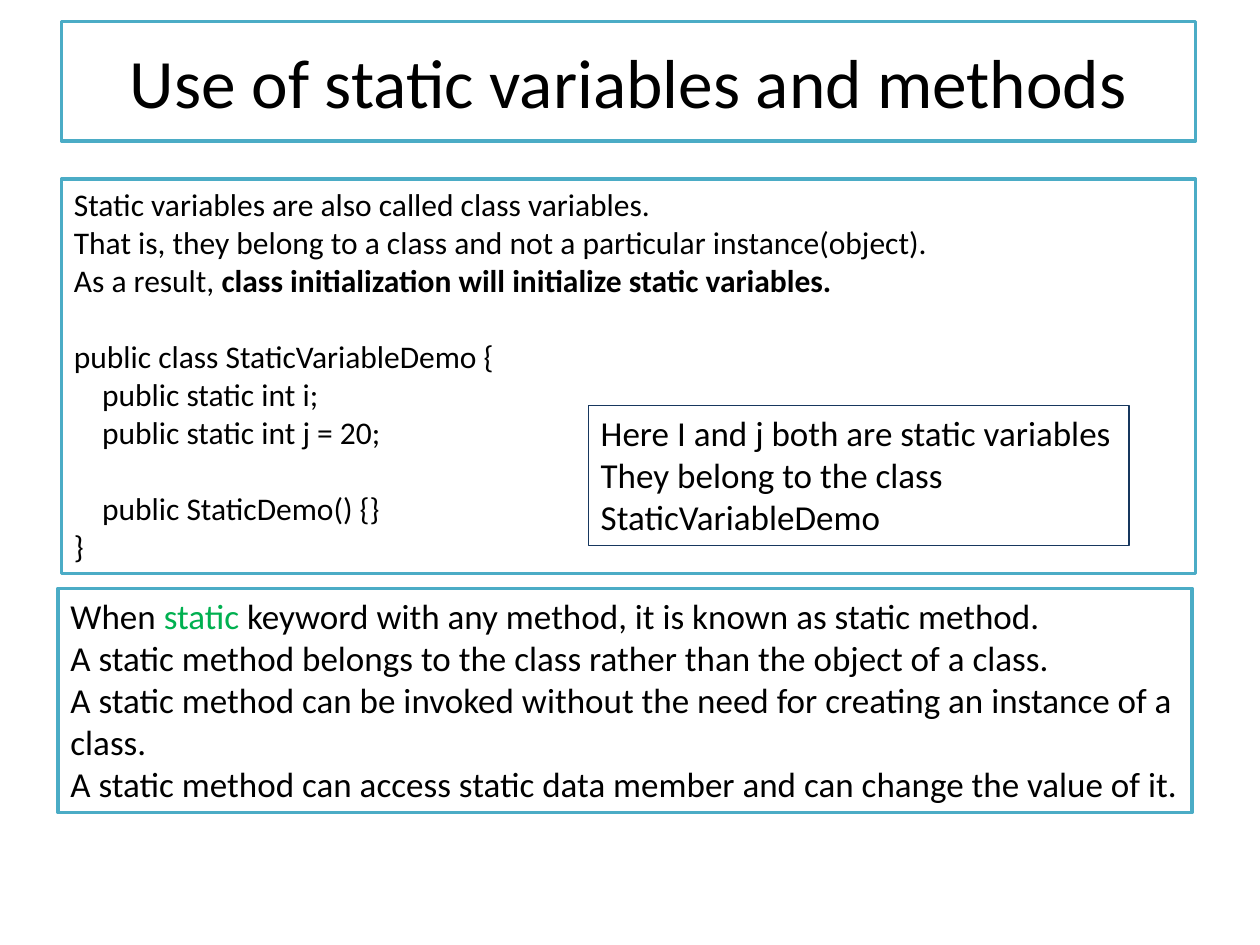
from pptx import Presentation
from pptx.dml.color import RGBColor
from pptx.enum.shapes import MSO_SHAPE
from pptx.enum.text import MSO_ANCHOR, MSO_AUTO_SIZE, PP_ALIGN
from pptx.util import Cm, Pt

BLACK = RGBColor(0x00, 0x00, 0x00)
WHITE = RGBColor(0xFF, 0xFF, 0xFF)
TEAL = RGBColor(0x4B, 0xAC, 0xC6)
NAVY = RGBColor(0x17, 0x37, 0x5E)
GREEN = RGBColor(0x00, 0xB0, 0x50)

FONT = "Calibri"
PANEL_LEFT = 1.24
PANEL_WIDTH = 22.86
CODE_INDENT = Cm(0.57)
CODE_GAP = Pt(22)

VARIABLE_LINES = [
    "Static variables are also called class variables.",
    "That is, they belong to a class and not a particular instance(object).",
    "As a result,\u00a0",
    "public class StaticVariableDemo {",
    "public static int i;",
    "public static int j = 20;",
    "public StaticDemo() {}",
    "}",
]
NOTE_LINES = [
    "Here I and j both are static variables",
    "They belong to the class",
    "StaticVariableDemo",
]
METHOD_LINES = [
    "When ",
    "A static method belongs to the class rather than the object of a class.",
    "A static method can be invoked without the need for creating an instance of a class.",
    "A static method can access static data member and can change the value of it.",
]


def place(shape, left, top, width, height):
    shape.left, shape.top = Cm(left), Cm(top)
    shape.width, shape.height = Cm(width), Cm(height)


def outline(shape, color, weight):
    shape.line.color.rgb = color
    shape.line.width = Pt(weight)


def format_run(run, size, color=BLACK, bold=False):
    run.font.name = FONT
    run.font.size = Pt(size)
    run.font.color.rgb = color
    run.font.bold = bold


def add_run(paragraph, text, size, color=BLACK, bold=False):
    run = paragraph.add_run()
    run.text = text
    format_run(run, size, color, bold)


def write_lines(frame, lines, size, alignment=PP_ALIGN.LEFT):
    frame.text = "\n".join(lines)
    for paragraph in frame.paragraphs:
        paragraph.alignment = alignment
        for run in paragraph.runs:
            format_run(run, size)
    return frame.paragraphs


def add_title(slide, text):
    title = slide.shapes.title
    place(title, PANEL_LEFT, 0.43, PANEL_WIDTH, 2.41)
    title.fill.solid()
    title.fill.fore_color.rgb = WHITE
    outline(title, TEAL, 2)
    title.text_frame.vertical_anchor = MSO_ANCHOR.MIDDLE
    title.text_frame.auto_size = MSO_AUTO_SIZE.NONE
    write_lines(title.text_frame, [text], 39.6, PP_ALIGN.CENTER)


def add_panel(slide, left, top, height, lines, size, alignment=PP_ALIGN.LEFT):
    panel = slide.shapes.add_shape(
        MSO_SHAPE.RECTANGLE, Cm(left), Cm(top), Cm(PANEL_WIDTH), Cm(height))
    panel.shadow.inherit = False
    panel.fill.solid()
    panel.fill.fore_color.rgb = WHITE
    outline(panel, TEAL, 2)
    frame = panel.text_frame
    frame.word_wrap = True
    frame.vertical_anchor = MSO_ANCHOR.TOP
    frame.auto_size = MSO_AUTO_SIZE.SHAPE_TO_FIT_TEXT
    return write_lines(frame, lines, size, alignment)


def add_note(slide, lines):
    note = slide.shapes.add_textbox(Cm(11.86), Cm(8.18), Cm(10.9), Cm(2.82))
    outline(note, NAVY, 0.75)
    note.text_frame.word_wrap = False
    note.text_frame.auto_size = MSO_AUTO_SIZE.SHAPE_TO_FIT_TEXT
    write_lines(note.text_frame, lines, 20)


def main():
    presentation = Presentation()
    presentation.slide_width, presentation.slide_height = Cm(25.4), Cm(19.05)
    slide = presentation.slides.add_slide(presentation.slide_layouts[5])

    add_title(slide, "Use of static variables and methods")

    variables = add_panel(slide, PANEL_LEFT, 3.61, 7.95, VARIABLE_LINES, 18,
                          PP_ALIGN.JUSTIFY)
    _, _, result, class_start, *members, _ = variables
    add_run(result, "class initialization will initialize static variables.",
            18, bold=True)
    for member in members:
        member._p.get_or_add_pPr().set("marL", str(CODE_INDENT))
    for block_start in (class_start, members[-1]):
        block_start.space_before = CODE_GAP

    add_note(slide, NOTE_LINES)

    keyword, *_ = add_panel(slide, 1.17, 11.86, 4.52, METHOD_LINES, 20)
    add_run(keyword, "static ", 20, GREEN)
    add_run(keyword, "keyword with any method, it is known as static method.", 20)

    presentation.save("out.pptx")


if __name__ == "__main__":
    main()
